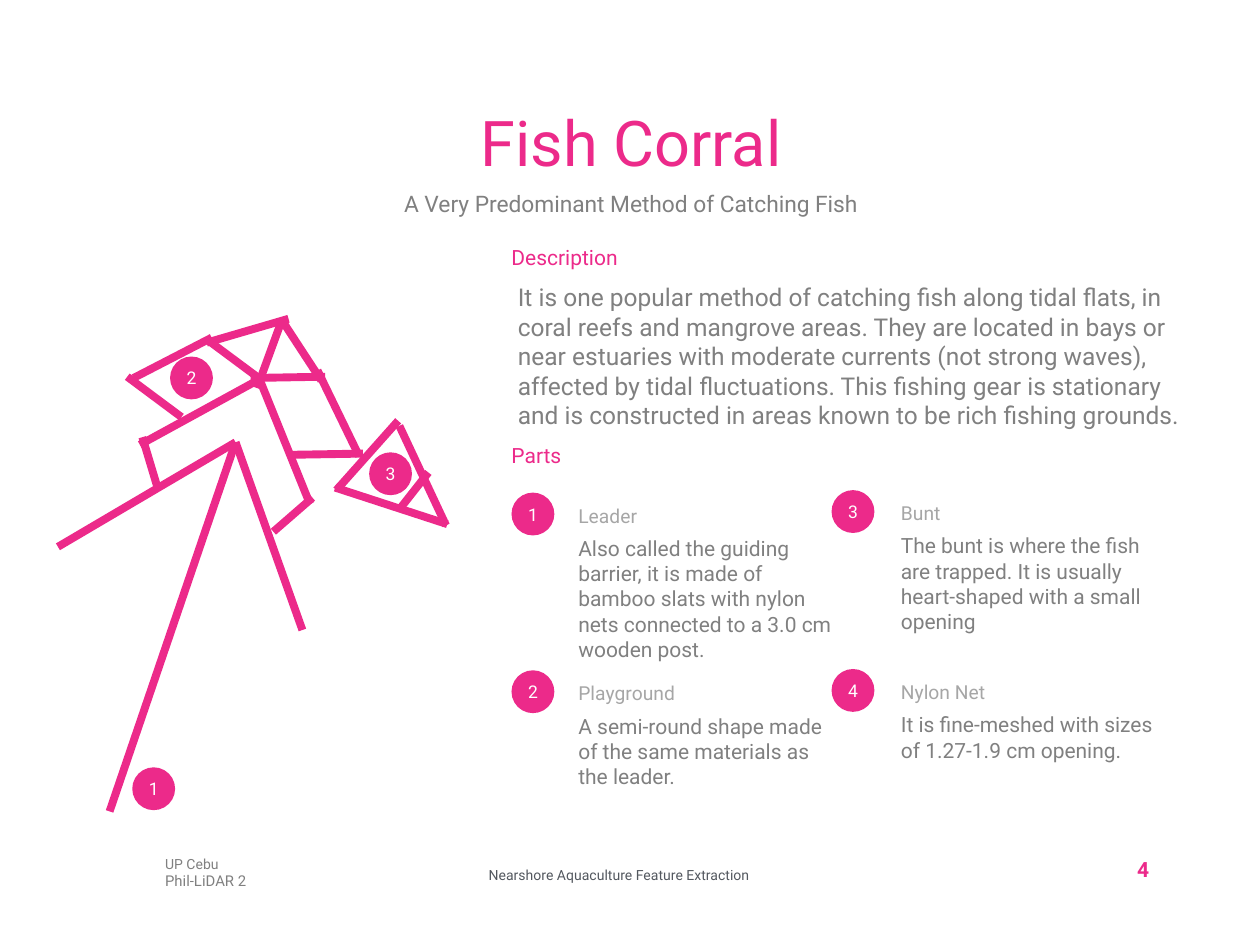
from typing import NamedTuple

from lxml.etree import SubElement
from pptx import Presentation
from pptx.dml.color import RGBColor
from pptx.enum.shapes import MSO_CONNECTOR, MSO_SHAPE
from pptx.enum.text import MSO_ANCHOR, PP_ALIGN
from pptx.oxml.ns import qn
from pptx.util import Inches, Pt

PINK = RGBColor(0xEC, 0x2A, 0x8A)
GRAY = RGBColor(0x80, 0x80, 0x80)
LIGHT_GRAY = RGBColor(0xA6, 0xA6, 0xA6)
SLATE = RGBColor(0x53, 0x58, 0x5F)
WHITE = RGBColor(0xFF, 0xFF, 0xFF)
FONT = "Roboto"
BADGE_SIZE = 0.34


class Label(NamedTuple):
    text: str
    left: float
    top: float
    width: float
    height: float
    size: float
    color: RGBColor = GRAY
    align: PP_ALIGN = PP_ALIGN.LEFT
    anchor: MSO_ANCHOR = MSO_ANCHOR.TOP
    margins: tuple[float, float, float, float] = (0, 0, 0, 0)
    line_spacing: float = 1.0
    bold: bool = False


class Part(NamedTuple):
    number: int
    name: str
    description: str
    left: float
    top: float
    text_left: float
    description_height: float


class Badge(NamedTuple):
    number: int
    left: float
    top: float


class Pole(NamedTuple):
    start_x: float
    start_y: float
    end_x: float
    end_y: float


def heading(text: str, top: float) -> Label:
    return Label(text, 4.06, top, 2.1, 0.29, 12, PINK, anchor=MSO_ANCHOR.MIDDLE,
                 margins=(0, 0.05, 0, 0.05), line_spacing=0.9)


FOOTERS = [
    Label("UP Cebu", 1.31, 6.79, 0.99, 0.13, 8),
    Label("Phil-LiDAR 2", 1.31, 6.92, 0.79, 0.14, 8.5),
    Label("Nearshore Aquaculture Feature Extraction", 3.28, 6.88, 3.27, 0.13, 8,
          SLATE, PP_ALIGN.CENTER),
]
TITLE = Label("Fish Corral", 0.77, 0.75, 8.48, 0.82, 36, PINK, PP_ALIGN.CENTER,
              MSO_ANCHOR.MIDDLE, (0, 0.05, 0, 0.05), 0.9)
PAGE_NUMBER = Label("4", 8.28, 6.75, 0.84, 0.32, 12, PINK, PP_ALIGN.RIGHT,
                    MSO_ANCHOR.MIDDLE, (0.1, 0.05, 0, 0.05), 0.9, True)
SUBTITLE = Label("A Very Predominant Method of Catching Fish", 2.71, 1.46, 4.59, 0.32,
                 13, GRAY, PP_ALIGN.CENTER, margins=(0.1, 0.05, 0.1, 0.05))
DESCRIPTION = Label(
    "It is one popular method of catching fish along tidal flats, in coral reefs and "
    "mangrove areas. They are located in bays or near estuaries with moderate currents "
    "(not strong waves), affected by tidal fluctuations. This fishing gear is stationary "
    "and is constructed in areas known to be rich fishing grounds.",
    4.11, 2.24, 5.35, 1.18, 14)
LABELS = [*FOOTERS, TITLE, PAGE_NUMBER, SUBTITLE, heading("Description", 1.91),
          DESCRIPTION, heading("Parts", 3.48)]

PARTS = [
    Part(1, "Leader", "Also called the guiding barrier, it is made of bamboo slats with "
         "nylon nets connected to a 3.0 cm wooden post.", 4.06, 3.91, 4.59, 1.01),
    Part(2, "Playground", "A semi-round shape made of the same materials as the leader.",
         4.06, 5.32, 4.59, 0.61),
    Part(3, "Bunt", "The bunt is where the fish are trapped. It is usually heart-shaped "
         "with a small opening", 6.6, 3.89, 7.15, 0.81),
    Part(4, "Nylon Net", "It is fine-meshed with sizes of 1.27-1.9 cm opening.",
         6.6, 5.31, 7.15, 0.4),
]

POLES = [
    Pole(0.87, 6.44, 1.87, 3.51),
    Pole(0.46, 4.34, 1.87, 3.51),
    Pole(2.4, 5, 1.87, 3.51),
    Pole(2.17, 4.22, 2.48, 3.95),
    Pole(1.25, 3.87, 1.13, 3.47),
    Pole(1.11, 3.53, 2.06, 3.01),
    Pole(2.46, 4, 2.06, 3.01),
    Pole(1.01, 2.99, 1.44, 3.31),
    Pole(2.29, 3.61, 2.88, 3.6),
    Pole(1.65, 2.7, 2.08, 3.02),
    Pole(1.99, 3, 2.58, 2.99),
    Pole(1.06, 3, 1.68, 2.68),
    Pole(1.64, 2.72, 2.29, 2.53),
    Pole(2.04, 3.08, 2.23, 2.56),
    Pole(2.55, 3.02, 2.23, 2.53),
    Pole(2.85, 3.62, 2.52, 2.94),
    Pole(2.67, 3.89, 3.16, 3.34),
    Pole(2.66, 3.87, 3.55, 4.16),
    Pole(3.17, 3.38, 3.54, 4.17),
    Pole(3.18, 4.03, 3.4, 3.75),
]
DIAGRAM_BADGES = [Badge(1, 1.05, 6.09), Badge(2, 1.35, 2.83), Badge(3, 2.93, 3.59)]


def write_text(shape, label: Label) -> None:
    frame = shape.text_frame
    frame.word_wrap = True
    frame.vertical_anchor = label.anchor
    (frame.margin_left, frame.margin_top,
     frame.margin_right, frame.margin_bottom) = map(Inches, label.margins)
    paragraph = frame.paragraphs[0]
    paragraph.alignment = label.align
    paragraph.line_spacing = label.line_spacing
    run = paragraph.add_run()
    run.text = label.text
    run.font.name = FONT
    run.font.size = Pt(label.size)
    run.font.bold = label.bold
    run.font.color.rgb = label.color


def add_label(slide, label: Label) -> None:
    shape = slide.shapes.add_textbox(Inches(label.left), Inches(label.top),
                                     Inches(label.width), Inches(label.height))
    write_text(shape, label)


def add_badge(slide, badge: Badge) -> None:
    label = Label(str(badge.number), badge.left, badge.top, BADGE_SIZE, BADGE_SIZE, 10,
                  WHITE, PP_ALIGN.CENTER, MSO_ANCHOR.MIDDLE, (0.06,) * 4)
    shape = slide.shapes.add_shape(MSO_SHAPE.OVAL, Inches(label.left), Inches(label.top),
                                   Inches(label.width), Inches(label.height))
    shape.shadow.inherit = False
    shape.fill.solid()
    shape.fill.fore_color.rgb = PINK
    shape.line.fill.background()
    write_text(shape, label)


def add_part(slide, part: Part) -> None:
    add_badge(slide, Badge(part.number, part.left, part.top))
    add_label(slide, Label(part.name, part.text_left, part.top + 0.09, 1.45, 0.19,
                           11, LIGHT_GRAY))
    add_label(slide, Label(part.description, part.text_left, part.top + 0.34, 2.1,
                           part.description_height, 12))


def add_pole(slide, pole: Pole) -> None:
    connector = slide.shapes.add_connector(MSO_CONNECTOR.STRAIGHT, *map(Inches, pole))
    connector.line.color.rgb = PINK
    connector.line.width = Pt(4.5)
    SubElement(connector._element.spPr, qn("a:effectLst"))


def main() -> None:
    presentation = Presentation()
    presentation.slide_width = Inches(10)
    presentation.slide_height = Inches(7.5)
    slide = presentation.slides.add_slide(presentation.slide_layouts[6])
    for label in LABELS:
        add_label(slide, label)
    for part in PARTS:
        add_part(slide, part)
    for pole in POLES:
        add_pole(slide, pole)
    for badge in DIAGRAM_BADGES:
        add_badge(slide, badge)
    presentation.save("out.pptx")


if __name__ == "__main__":
    main()
